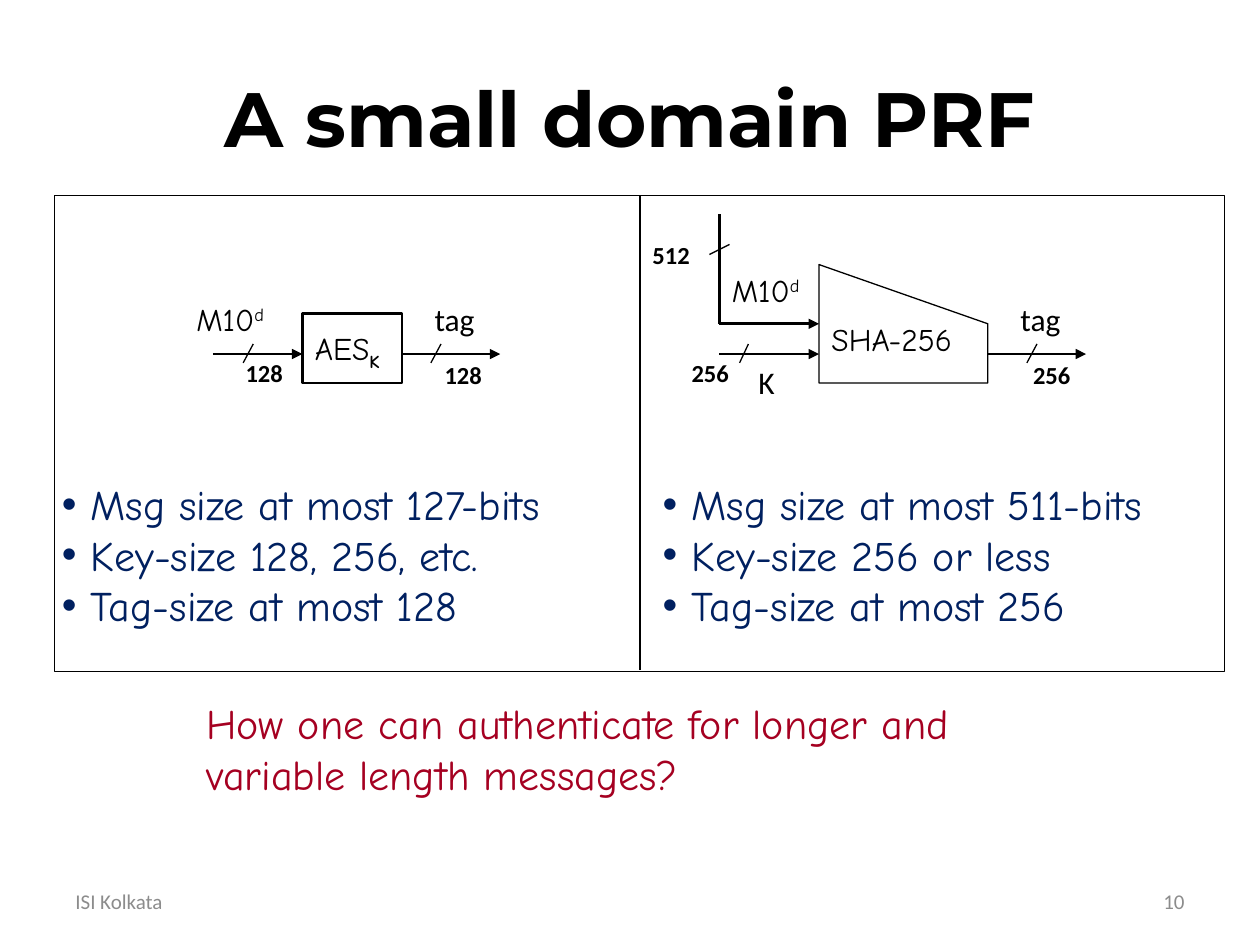
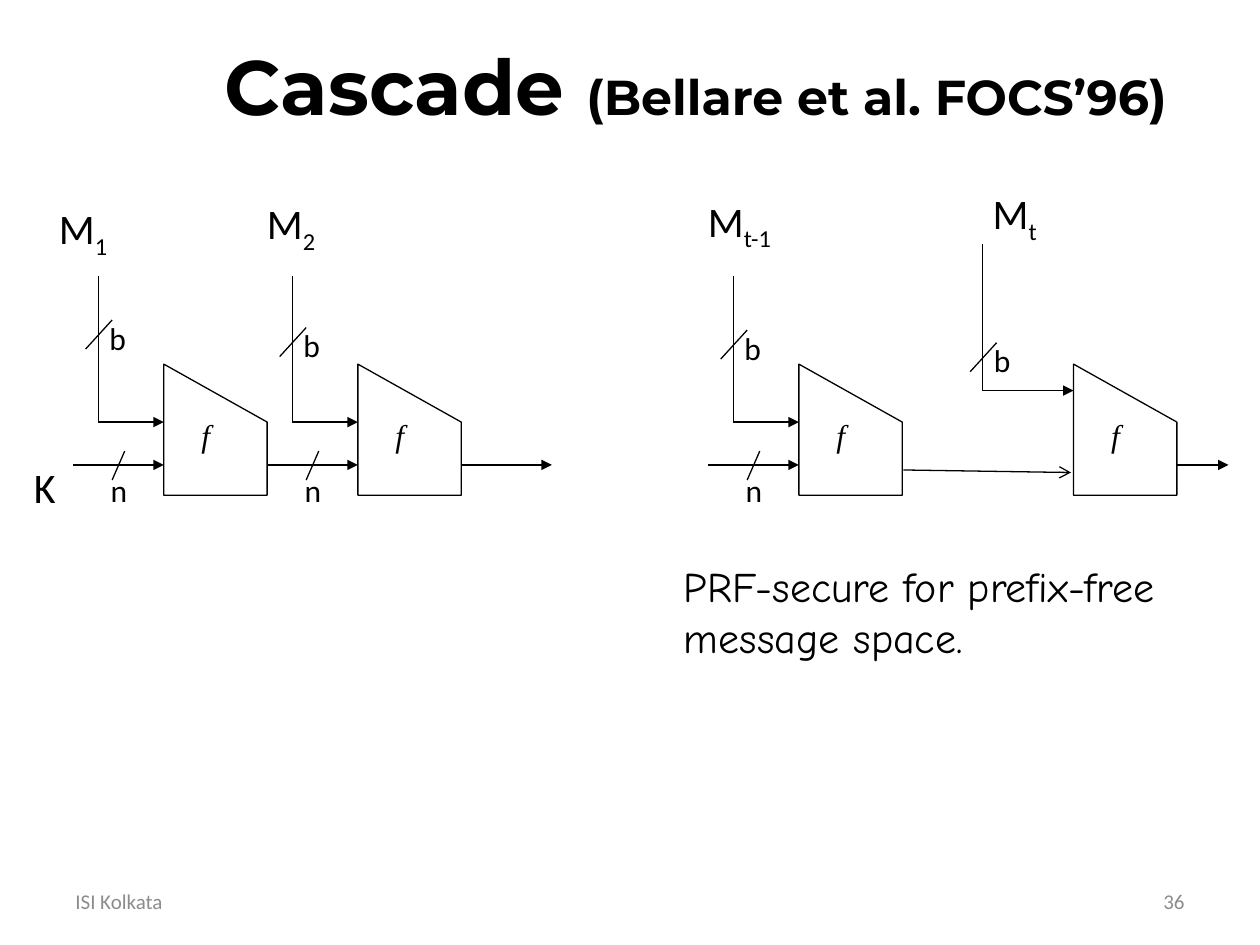
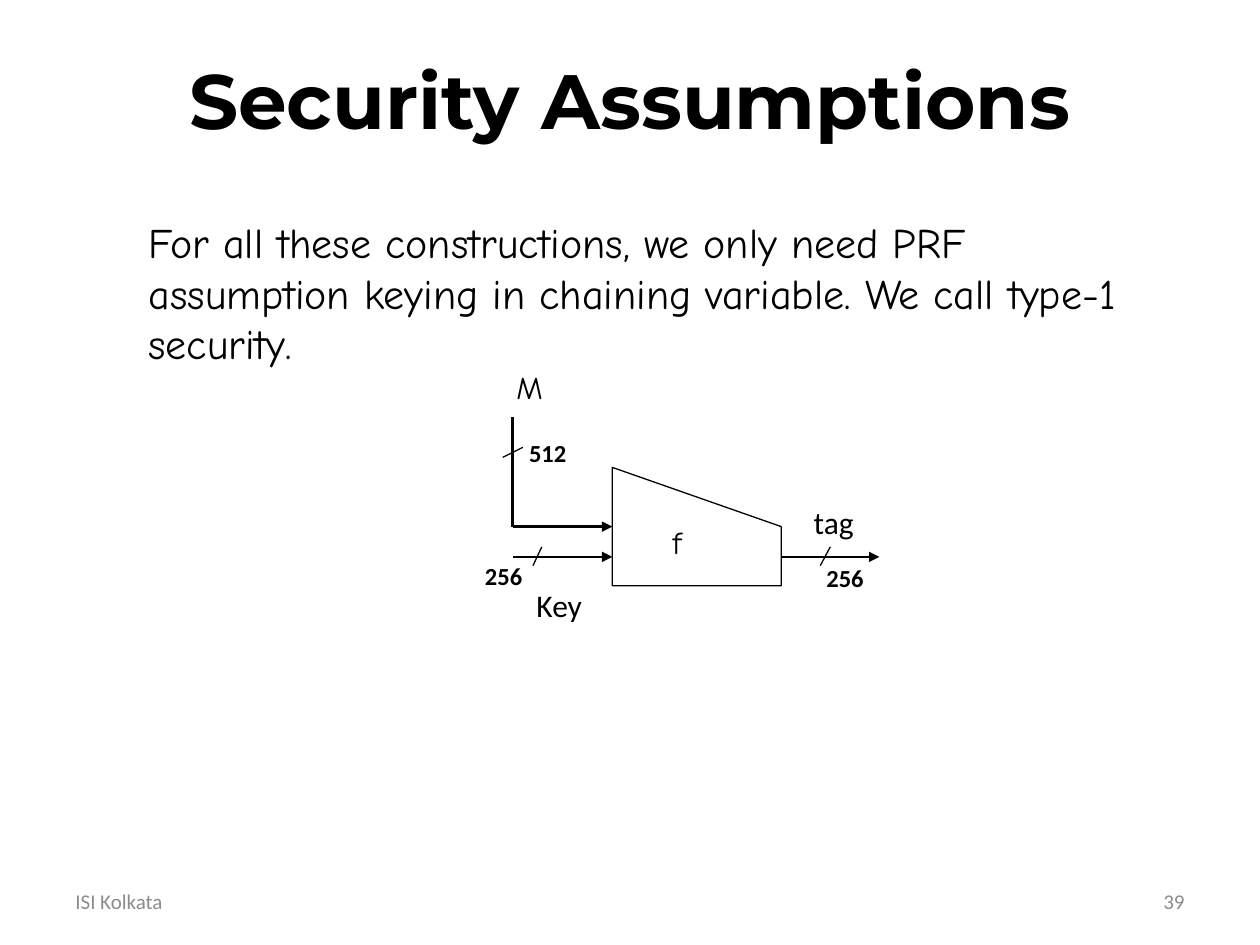
from dataclasses import dataclass

from lxml import etree
from pptx import Presentation
from pptx import util as u
from pptx.dml.color import RGBColor
from pptx.enum import shapes, text
from pptx.oxml.ns import qn


@dataclass(frozen=True)
class Theme:
    black: str = "000000"
    navy: str = "002060"
    red: str = "A50021"
    gray: str = "8C8C8C"
    head: str = "Montserrat"
    hand: str = "Comic Neue"
    sans: str = "Calibri"
    math: str = "Times New Roman"
    title: int = 44
    cite: int = 28
    body: int = 24
    label: int = 18
    bits: int = 14
    foot: int = 12
    thin: float = 0.75
    thick: float = 1.5


T = Theme()


def place(shape, left, top, width, height):
    shape.left, shape.top = u.Inches(left), u.Inches(top)
    shape.width, shape.height = u.Inches(width), u.Inches(height)


def style(run, size, face, color=T.black, bold=False, italic=False):
    font = run.font
    font.size, font.name = u.Pt(size), face
    font.bold, font.italic = bold, italic
    font.color.rgb = RGBColor.from_string(color)


def write(slide, box, words, size=T.label, face=T.sans, color=T.black,
          bold=False, italic=False, wrap=False):
    shape = slide.shapes.add_textbox(*map(u.Inches, box))
    frame = shape.text_frame
    frame.word_wrap = wrap
    frame.text = words
    style(frame.paragraphs[0].runs[0], size, face, color, bold, italic)
    return frame


def script(frame, words, shift, size, face, bold=False):
    run = frame.paragraphs[0].add_run()
    run.text = words
    style(run, size, face, bold=bold)
    run._r.get_or_add_rPr().set("baseline", str(shift * 1000))


def draw(slide, start, end, width=T.thin, tip=None):
    line = slide.shapes.add_connector(
        shapes.MSO_CONNECTOR.STRAIGHT, *map(u.Inches, (*start, *end)))
    line.line.color.rgb = RGBColor.from_string(T.black)
    line.line.width = u.Pt(width)
    if tip:
        etree.SubElement(line.line._get_or_add_ln(), qn("a:tailEnd"), type=tip)
    etree.SubElement(line._element.spPr, qn("a:effectLst"))


def outline(shape, width):
    shape.shadow.inherit = False
    shape.fill.background()
    shape.line.color.rgb = RGBColor.from_string(T.black)
    shape.line.width = u.Pt(width)


def frame_box(slide, box, width):
    rect = slide.shapes.add_shape(
        shapes.MSO_SHAPE.RECTANGLE, *map(u.Inches, box))
    outline(rect, width)


def gate(slide, left, top, width, height, drop):
    right, base = left + width, top + height
    first, *rest = [
        (u.Inches(x), u.Inches(y)) for x, y in
        ((left, top), (right, top + drop), (right, base), (left, base))]
    form = slide.shapes.build_freeform(*first)
    form.add_line_segments(rest)
    outline(form.convert_to_shape(), T.thin)


def feed(slide, left, top, elbow, right, width):
    draw(slide, (left, top), (left, elbow), width)
    draw(slide, (left, elbow), (right, elbow), width, "triangle")


def start(deck, layout, top, words, page, left=0.5, width=9):
    slide = deck.slides.add_slide(deck.slide_layouts[layout])
    title = slide.shapes.title
    place(title, left, top, width, 1.25)
    title.text_frame.text = words
    style(title.text_frame.paragraphs[0].runs[0], T.title, T.head, bold=True)
    for x, note, align in ((0.5, "ISI Kolkata", text.PP_ALIGN.LEFT),
                           (7.17, str(page), text.PP_ALIGN.RIGHT)):
        foot = write(slide, (x, 6.95, 2.33, 0.4), note, T.foot,
                     color=T.gray, wrap=True)
        foot.vertical_anchor = text.MSO_ANCHOR.MIDDLE
        foot.paragraphs[0].alignment = align
    return slide


def bullets(holder, box, items):
    place(holder, *box)
    frame = holder.text_frame
    frame.text = "\n".join(items)
    for para in frame.paragraphs:
        props = para._p.get_or_add_pPr()
        props.set("marL", str(u.Inches(0.23)))
        props.set("indent", str(-u.Inches(0.23)))
        para.space_before = u.Pt(0)
        style(para.runs[0], T.body, T.hand, T.navy)


def padded(slide, left, top):
    mark = write(slide, (left, top, 0.78, 0.4), "M10", face=T.hand)
    script(mark, "d", 30, T.label, T.hand)


def bits(slide, left, top, count):
    write(slide, (left, top, 0.52, 0.33), count, T.bits, bold=True)


def output(slide, left, wire, count, shift, slash):
    draw(slide, (left, wire), (left + 0.78, wire), T.thick, "triangle")
    draw(slide, (left + slash, wire - 0.08),
         (left + slash - 0.08, wire + 0.07))
    write(slide, (left + 0.16, wire - 0.48, 0.55, 0.4), "tag")
    bits(slide, left + shift, wire, count)


def cipher(slide, left, top):
    wire = top + 0.32
    frame_box(slide, (left, top, 0.79, 0.55), T.thick)
    draw(slide, (left - 0.71, wire), (left, wire), T.thick, "triangle")
    draw(slide, (left - 0.39, wire - 0.08), (left - 0.47, wire + 0.07))
    name = write(slide, (left, top + 0.07, 0.82, 0.4), "AES", face=T.hand)
    script(name, "K", -25, T.label, T.hand, True)
    padded(slide, left - 0.94, top - 0.16)
    bits(slide, left - 0.55, wire - 0.02, "128")
    output(slide, left + 0.79, wire, "128", 0.24, 0.31)


def hasher(slide, left, top, name, key, count):
    wire = top + 0.71
    gate(slide, left, top, 1.34, 0.94, 0.47)
    feed(slide, left - 0.79, top - 0.4, top + 0.47, left, T.thick)
    draw(slide, (left - 0.79, wire), (left, wire), T.thick, "triangle")
    draw(slide, (left - 0.56, wire - 0.08), (left - 0.63, wire + 0.07))
    draw(slide, (left - 0.87, top - 0.08), (left - 0.71, top - 0.16))
    for words, x, y, width, face in (name, key):
        write(slide, (left + x, top + y, width, 0.4), words, face=face)
    bits(slide, left + count[0], top + count[1], "512")
    bits(slide, left - 1.11, wire - 0.02, "256")
    output(slide, left + 1.34, wire, "256", 0.26, 0.39)


def stage(slide, left, top, block, spot, reach, rise, slash, keyed):
    wire = top + 0.8
    stem = left - reach
    gate(slide, left, top, 0.82, 1.04, 0.46)
    write(slide, (left + 0.2, top + 0.36, 0.33, 0.4), "f",
          face=T.math, italic=True)
    feed(slide, stem, top - rise, top - rise + 1.16, left, T.thin)
    tick = top + slash
    draw(slide, (stem + 0.11, tick), (stem - 0.1, tick + 0.23))
    write(slide, (stem - 0.01, tick - 0.06, 0.42, 0.4), "b")
    x, y, width = spot
    mark = write(slide, (left + x, top + y, width, 0.51), "M", T.body)
    script(mark, block, -25, T.body, T.sans)
    if keyed:
        draw(slide, (left - 0.72, wire), (left, wire), tip="triangle")
        draw(slide, (left - 0.31, wire - 0.11), (left - 0.41, wire + 0.12))
        write(slide, (left - 0.52, wire, 0.42, 0.4), "n")


def domain(deck):
    slide = start(deck, 3, 0.3, "A small domain PRF", 10)
    hasher(slide, 6.5, 2.1, ("SHA-256", 0, 0.39, 1.32, T.hand),
           ("K", -0.58, 0.73, 0.37, T.sans), (-1.42, -0.24))
    padded(slide, 5.71, 2.1)
    cipher(slide, 2.4, 2.49)
    bullets(slide.placeholders[1], (0.39, 3.75, 4.5, 1.31),
            ("Msg size at most 127-bits", "Key-size 128, 256, etc.",
             "Tag-size at most 128"))
    bullets(slide.placeholders[2], (5.16, 3.75, 4.44, 1.31),
            ("Msg size at most 511-bits", "Key-size 256 or less",
             "Tag-size at most 256"))
    write(slide, (1.54, 5.49, 7.09, 0.9),
          "How one can authenticate for longer and variable length messages?",
          T.body, T.hand, T.red, wrap=True)
    frame_box(slide, (0.43, 1.55, 9.29, 3.78), T.thin)
    draw(slide, (5.08, 1.55), (5.08, 5.32))


def cascade(deck):
    slide = start(deck, 5, 0.05, "Cascade ", 36, 1.12, 8.8)
    cite = slide.shapes.title.text_frame.paragraphs[0].add_run()
    cite.text = "(Bellare et al. FOCS’96)"
    style(cite, T.cite, T.head, bold=True)
    top = 2.89
    wire = top + 0.8
    for left, *rest in (
            (1.3, "1", (-0.93, -1.33, 0.6), 0.52, 0.7, -0.35, True),
            (2.84, "2", (-0.82, -1.37, 0.6), 0.52, 0.7, -0.29, True),
            (6.34, "t-1", (-0.82, -1.39, 0.75), 0.52, 0.7, -0.27, True),
            (8.52, "t", (-0.74, -1.45, 0.57), 0.72, 0.95, -0.17, False)):
        stage(slide, left, top, *rest)
    write(slide, (0.17, 3.61, 0.38, 0.51), "K", T.body)
    draw(slide, (3.66, wire), (4.38, wire), tip="triangle")
    draw(slide, (7.17, 3.73), (8.5, 3.75), tip="arrow")
    draw(slide, (9.34, wire), (9.75, wire), tip="triangle")
    write(slide, (5.33, 4.4, 4.25, 0.91),
          "PRF-secure for prefix-free message space.",
          T.body, T.hand, wrap=True)


def security(deck):
    slide = start(deck, 5, 0.16, "Security Assumptions", 39)
    write(slide, (1.08, 1.67, 8.08, 1.31),
          "For all these constructions, we only need PRF assumption keying "
          "in chaining variable. We call type-1 security.",
          T.body, T.hand, wrap=True)
    hasher(slide, 4.86, 3.71, ("f", 0.38, 0.39, 0.33, T.hand),
           ("Key", -0.7, 0.89, 0.63, T.sans), (-0.76, -0.28))
    write(slide, (4, 2.87, 0.42, 0.4), "M", face=T.hand)


def main():
    deck = Presentation()
    deck.slide_width, deck.slide_height = u.Inches(10), u.Inches(7.5)
    for build in (domain, cascade, security):
        build(deck)
    deck.save("out.pptx")


if __name__ == "__main__":
    main()
